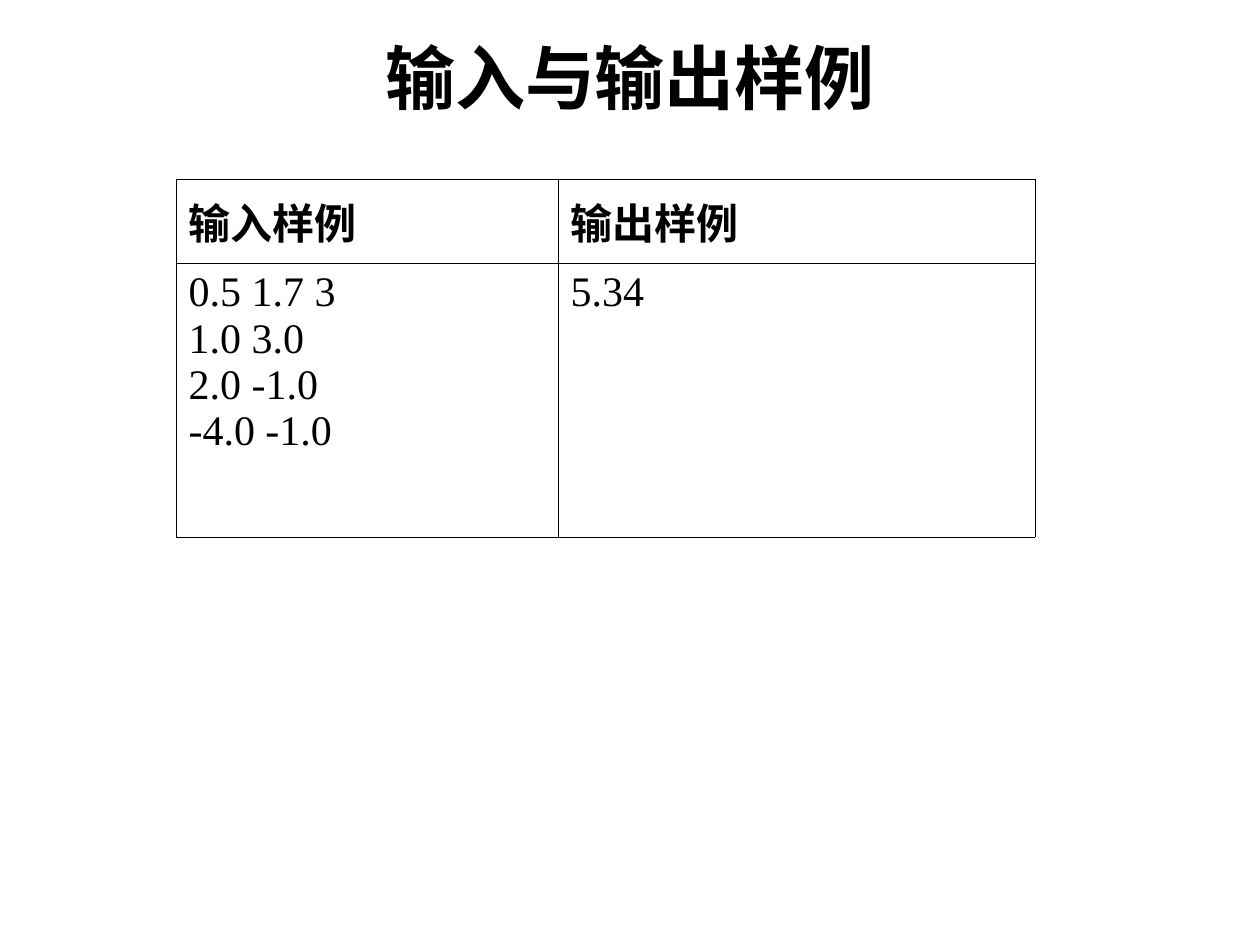
"""Build the slide with the sample input and output table."""
import pptx
import pptx.dml.color
import pptx.enum.text
import pptx.oxml
import pptx.oxml.ns
import pptx.util

PX = 914400 // 126
COLORS = {"ink": "000000"}
LATIN, HAN = "Times New Roman", "Noto Sans CJK SC"
NAMESPACE = pptx.oxml.ns.nsdecls("a")
HANGING = 48


def add_span(para, text, size, font, bold):
    span = para.add_run()
    span.text = text
    span.font.size = pptx.util.Pt(size)
    span.font.name = font
    span.font.bold = bold
    span.font.color.rgb = pptx.dml.color.RGBColor.from_string(COLORS["ink"])
    span.font.fill._xPr.append(
        pptx.oxml.parse_xml(f'<a:ea {NAMESPACE} typeface="{HAN}"/>'))
    latin = span.font.fill._xPr.find(pptx.oxml.ns.qn("a:latin"))
    latin.addnext(span.font.fill._xPr.find(pptx.oxml.ns.qn("a:ea")))


deck = pptx.Presentation()
deck.slide_width = pptx.util.Inches(10)
deck.slide_height = pptx.util.Inches(7.5)
page = deck.slides.add_slide(deck.slide_layouts[6])

title = page.shapes.add_textbox(63 * PX, 38 * PX, 1134 * PX, 158 * PX)
title.text_frame.word_wrap = True
para = title.text_frame.paragraphs[0]
para.alignment = pptx.enum.text.PP_ALIGN.CENTER
para.line_spacing = 0.9
add_span(para, "输入与输出样例", 40, LATIN, True)

widths, heights = [382, 477], [84, 274]
samples = [
    [["输入样例"], ["输出样例"]],
    [["0.5 1.7 3", "1.0 3.0", "2.0 -1.0", "-4.0 -1.0"], ["5.34"]],
]
table = page.shapes.add_table(
    2, 2, 176 * PX, 179 * PX, sum(widths) * PX, sum(heights) * PX).table
table.first_row = False
table.horz_banding = False
for column, width in zip(table.columns, widths):
    column.width = width * PX

for row_index, (height, row) in enumerate(zip(heights, samples)):
    table.rows[row_index].height = height * PX
    heading = row_index == 0
    for column_index, lines in enumerate(row):
        cell = table.cell(row_index, column_index)
        cell.fill.background()
        if heading:
            cell.vertical_anchor = pptx.enum.text.MSO_ANCHOR.MIDDLE
        for position, side in enumerate(("lnL", "lnR", "lnT", "lnB")):
            border = pptx.oxml.parse_xml(
                f'<a:{side} {NAMESPACE} w="{pptx.util.Pt(0.45)}"><a:solidFill>'
                f'<a:srgbClr val="{COLORS["ink"]}"/></a:solidFill></a:{side}>')
            cell._tc.get_or_add_tcPr().insert(position, border)
        for line_index, line in enumerate(lines):
            frame = cell.text_frame
            para = frame.add_paragraph() if line_index else frame.paragraphs[0]
            properties = para._p.get_or_add_pPr()
            properties.set("marL", str(HANGING * PX))
            properties.set("indent", str(-HANGING * PX))
            add_span(para, line, 24, HAN if heading else LATIN, heading)

deck.save("out.pptx")
